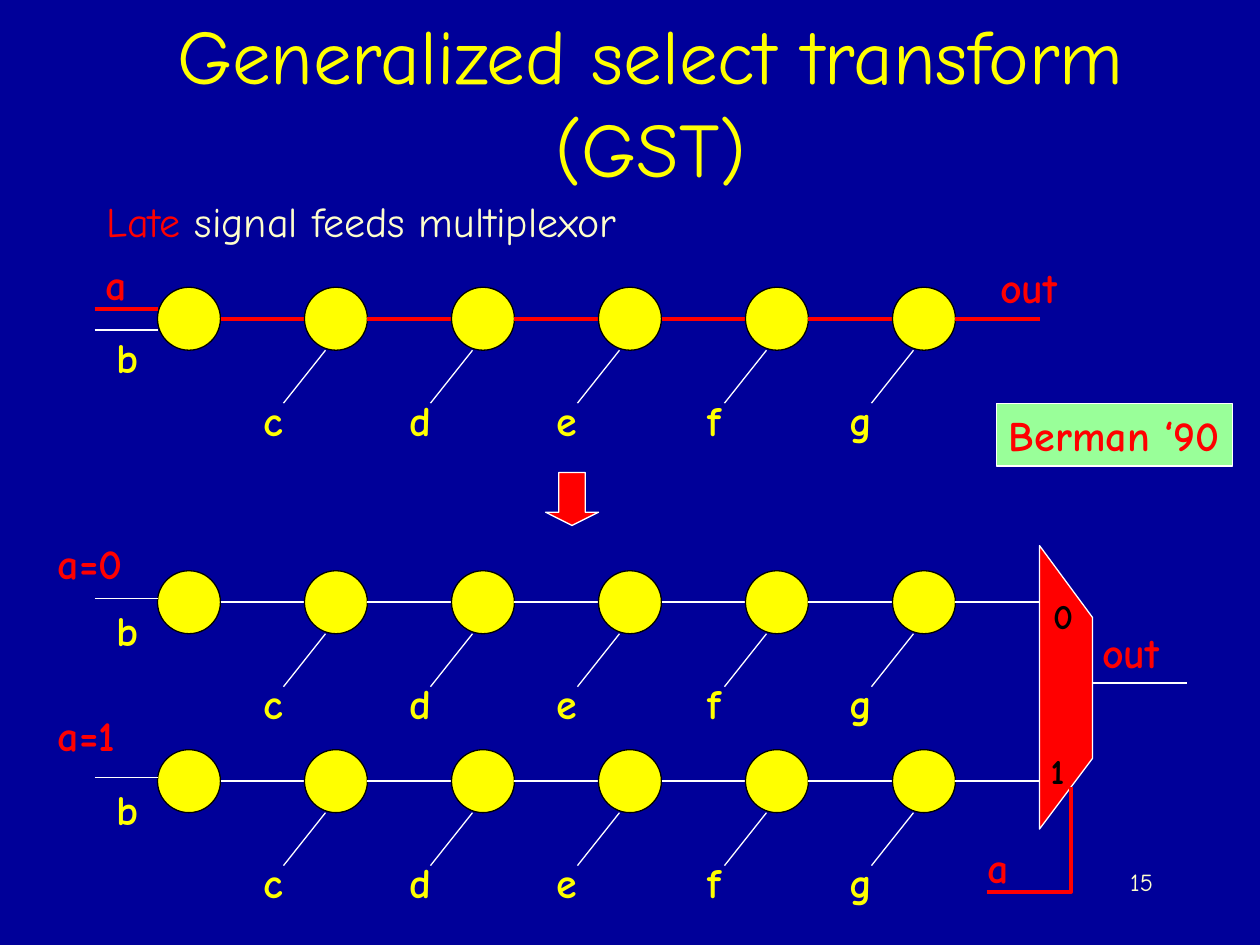
from lxml.etree import SubElement
from pptx import Presentation
from pptx.dml.color import RGBColor
from pptx.enum.shapes import MSO_CONNECTOR, MSO_SHAPE
from pptx.enum.text import MSO_ANCHOR, MSO_AUTO_SIZE, PP_ALIGN
from pptx.oxml.ns import qn
from pptx.util import Inches, Pt

FONT = "Comic Neue"
COLORS = {"navy": "000099", "yellow": "FFFF00", "red": "FF0000", "white": "FFFFFF",
          "cream": "FFFFCC", "black": "000000", "green": "99FF99"}

TITLE = "Generalized select transform (GST)"
SUBTITLE = [("Late", "red"), (" signal feeds multiplexor", "cream")]
SIDE_INPUTS = [("c", 0.35), ("d", 0.37), ("e", 0.36), ("f", 0.3), ("g", 0.38)]

# One chain of gates each: top, wire colour and width, line of b, label of b
CHAINS = [
    {"top": 2.28, "wire": ("red", 2.25), "b_line": 2.62, "b_label": 2.58},
    {"top": 4.53, "wire": ("white", 1), "b_line": 4.75, "b_label": 4.75},
    {"top": 5.95, "wire": ("white", 1), "b_line": 6.17, "b_label": 6.17},
]
# Text, left, top, width, colour, size
LABELS = [
    ("a", 0.74, 2.0, 0.37, "red", 24),
    ("out", 7.84, 2.03, 0.7, "red", 24),
    ("a=0", 0.36, 4.22, 0.76, "red", 24),
    ("a=1", 0.36, 5.58, 0.7, "red", 24),
    ("out", 8.65, 4.92, 0.7, "red", 24),
    ("0", 8.26, 4.67, 0.36, "black", 20),
    ("1", 8.24, 5.9, 0.31, "black", 20),
    ("a", 7.74, 6.63, 0.37, "red", 24),
]
MUX = [(8.25, 6.58), (8.25, 4.33), (8.67, 4.9), (8.67, 6.02)]
SELECT_WIRE = [(7.83, 7.08), (8.5, 7.08), (8.5, 6.25)]

GATES = 6
GATE_LEFT, GATE_SIZE = 1.25, 0.5
PITCH = 7 / 6
INPUT_LEFT = 0.75

prs = Presentation()
prs.slide_width, prs.slide_height = Inches(10), Inches(7.5)
s = prs.slides.add_slide(prs.slide_layouts[5])


def rgb(name):
    return RGBColor.from_string(COLORS[name])


def box(*lengths):
    return [Inches(v) for v in lengths]


def add_run(p, text, color, size, bold=False):
    r = p.add_run()
    r.text = text
    for key, value in {"name": FONT, "size": Pt(size), "bold": bold}.items():
        setattr(r.font, key, value)
    r.font.color.rgb = rgb(color)


def add_text(text, left, top, width, color, size=24):
    """Bold one-line label in a box wide enough for its text."""
    height = 0.5 if size == 24 else 0.44
    tf = s.shapes.add_textbox(*box(left, top, width, height)).text_frame
    tf.word_wrap = True
    add_run(tf.paragraphs[0], text, color, size, True)


def add_line(x1, y1, x2, y2, color="white", width=0.75):
    line = s.shapes.add_connector(MSO_CONNECTOR.STRAIGHT, *box(x1, y1, x2, y2))
    line.line.color.rgb = rgb(color)
    line.line.width = Pt(width)
    SubElement(line._element.spPr, qn("a:effectLst"))


def style(sp, fill, line, width=0.75):
    sp.shadow.inherit = False
    if fill:
        sp.fill.solid()
        sp.fill.fore_color.rgb = rgb(fill)
    else:
        sp.fill.background()
    sp.line.color.rgb = rgb(line)
    sp.line.width = Pt(width)


def add_shape(kind, bounds, fill, line):
    sp = s.shapes.add_shape(kind, *box(*bounds))
    style(sp, fill, line)
    return sp


def add_outline(points, close, fill, line, width):
    pts = [box(*point) for point in points]
    builder = s.shapes.build_freeform(*pts[0])
    builder.add_line_segments(pts[1:], close=close)
    style(builder.convert_to_shape(), fill, line, width)


def add_chain(top, wire, b_line, b_label):
    """Row of gates with its wires, the side inputs c to g and the input b."""
    middle, bottom = top + GATE_SIZE / 2, top + GATE_SIZE
    lefts = [GATE_LEFT + i * PITCH for i in range(GATES)]
    for left in lefts:
        add_shape(MSO_SHAPE.OVAL, (left, top, GATE_SIZE, GATE_SIZE), "yellow", "black")
        add_line(left + GATE_SIZE, middle, left + PITCH, middle, *wire)
    for left, (name, width) in zip(lefts[1:], SIDE_INPUTS):
        add_line(left - 1 / 6, bottom + 0.42, left + 1 / 6, bottom)
        add_text(name, left - 0.25 - width / 2, top + 0.8, width, "yellow")
    add_line(INPUT_LEFT, b_line, GATE_LEFT, b_line)
    add_text("b", 0.83, b_label, 0.37, "yellow")


s.background.fill.solid()
s.background.fill.fore_color.rgb = rgb("navy")

title = s.shapes.title
title.left, title.top, title.width, title.height = box(0.75, 0.17, 8.83, 1.25)
tf = title.text_frame
tf.vertical_anchor = MSO_ANCHOR.MIDDLE
tf.auto_size = MSO_AUTO_SIZE.NONE
tf.paragraphs[0].alignment = PP_ALIGN.CENTER
add_run(tf.paragraphs[0], TITLE, "yellow", 44)

tf = s.shapes.add_textbox(*box(0.75, 1.5, 8.5, 0.83)).text_frame
tf.word_wrap = True
p = tf.paragraphs[0]
p.space_before = Pt(6)
for text, color in SUBTITLE:
    add_run(p, text, color, 24)

for chain in CHAINS:
    add_chain(**chain)
add_line(INPUT_LEFT, 2.45, GATE_LEFT, 2.45, "red", 2.25)

add_outline(MUX, True, "red", "white", 0.75)
add_line(8.67, 5.42, 9.42, 5.42)
add_outline(SELECT_WIRE, False, None, "red", 2.25)
for label in LABELS:
    add_text(*label)

credit = add_shape(MSO_SHAPE.RECTANGLE, (7.91, 3.2, 1.87, 0.5), "green", "white")
tf = credit.text_frame
tf.word_wrap = False
tf.paragraphs[0].alignment = PP_ALIGN.LEFT
add_run(tf.paragraphs[0], "Berman ‘90", "red", 24, True)

add_shape(MSO_SHAPE.DOWN_ARROW, (4.33, 3.75, 0.42, 0.42), "red", "white").adjustments[1] = 0.25

tf = s.shapes.add_textbox(*box(7.17, 6.83, 2.08, 0.5)).text_frame
tf.word_wrap = True
tf.paragraphs[0].alignment = PP_ALIGN.RIGHT
add_run(tf.paragraphs[0], "15", "cream", 14)

prs.save("out.pptx")
